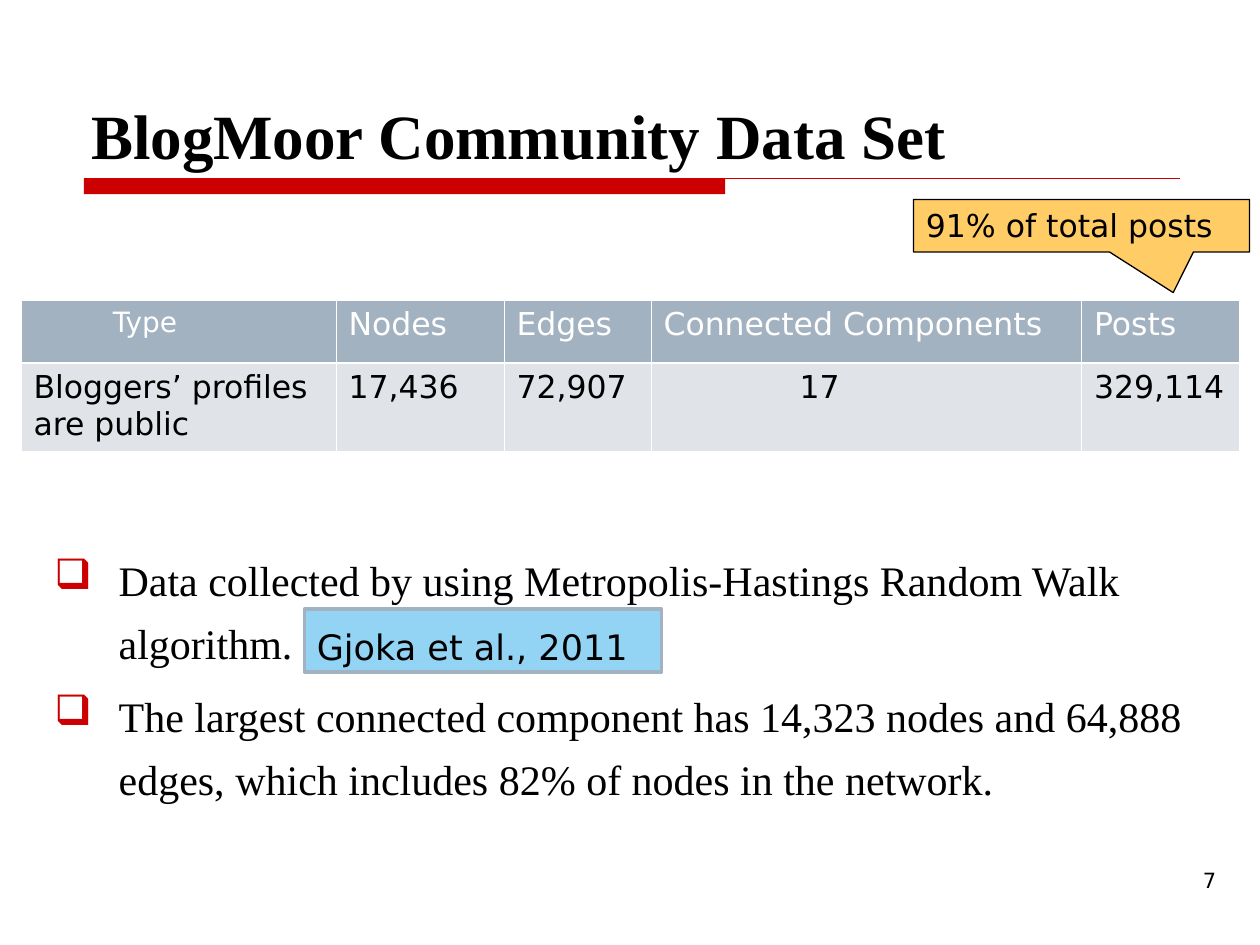
from lxml.etree import SubElement
from pptx import Presentation
from pptx.dml.color import RGBColor
from pptx.enum.shapes import MSO_CONNECTOR, MSO_SHAPE
from pptx.enum.text import MSO_ANCHOR, PP_ALIGN
from pptx.oxml.ns import qn
from pptx.util import Inches, Pt

COLORS = {"black": "000000", "white": "FFFFFF", "red": "CC0000", "amber": "FFCC66",
          "slate": "A3B2C1", "mist": "E0E4E9", "sky": "93D3F3"}
SANS, SERIF = "DejaVu Sans", "Times New Roman"
UNIT = Inches(10) / 120


def grid(*counts):
    return [round(count * UNIT) for count in counts]


def color(name):
    return RGBColor.from_string(COLORS[name])


def fill_solid(part, name):
    part.fill.solid()
    part.fill.fore_color.rgb = color(name)


def add_bullet(para, char, name, indent):
    props = para._p.get_or_add_pPr()
    props.set("marL", str(Inches(indent)))
    props.set("indent", str(-Inches(indent)))
    bullet_color = SubElement(props, qn("a:buClr"))
    SubElement(bullet_color, qn("a:srgbClr"), val=COLORS[name])
    SubElement(props, qn("a:buChar"), char=char)


def write(frame, text, size=18, font=SANS, ink="black", bold=False, align=PP_ALIGN.LEFT,
          anchor=MSO_ANCHOR.TOP, line_spacing=None, gap=0, bullet=None):
    frame.word_wrap = True
    frame.vertical_anchor = anchor
    for index, line in enumerate(text.split("\n")):
        para = frame.add_paragraph() if index else frame.paragraphs[0]
        if bullet:
            add_bullet(para, bullet, "red", 0.51)
        para.alignment = align
        if line_spacing:
            para.line_spacing = line_spacing
        if index and gap:
            para.space_before = Pt(gap)
        span = para.add_run()
        span.text = line
        span.font.size = Pt(size)
        span.font.name = font
        span.font.bold = bold
        span.font.color.rgb = color(ink)


def add_text(page, box, text, **style):
    write(page.shapes.add_textbox(*grid(*box)).text_frame, text, **style)


def add_panel(page, box, kind, fill, line=None, width=0.75):
    panel = page.shapes.add_shape(kind, *grid(*box))
    panel.shadow.inherit = False
    fill_solid(panel, fill)
    if line:
        panel.line.color.rgb = color(line)
        panel.line.width = Pt(width)
    else:
        panel.line.fill.background()
    return panel


def add_title_rule(page, box):
    left, top, width, height = box
    add_panel(page, (left, top, width * 0.585, height), MSO_SHAPE.RECTANGLE, "red")
    rule = page.shapes.add_connector(MSO_CONNECTOR.STRAIGHT, *grid(left, top, left + width, top))
    rule.line.color.rgb = color("red")
    rule.line.width = Pt(0.75)
    SubElement(rule._element.spPr, qn("a:effectLst"))


def add_callout(page, box, text):
    callout = add_panel(page, box, MSO_SHAPE.RECTANGULAR_CALLOUT, "amber", "black")
    callout.adjustments[0], callout.adjustments[1] = 0.273, 1.275
    write(callout.text_frame, text)


def add_citation(page, box, text):
    citation = add_panel(page, box, MSO_SHAPE.RECTANGLE, "sky", "slate", 2)
    write(citation.text_frame, text, size=20, line_spacing=1.25)


def set_borders(cell, widths):
    props = cell._tc.get_or_add_tcPr()
    for side, width in widths.items():
        border = SubElement(props, qn(f"a:ln{side}"), w=str(Pt(width)))
        paint = SubElement(border, qn("a:solidFill"))
        SubElement(paint, qn("a:srgbClr"), val=COLORS["white"])


def add_data_table(page, box, columns, heights, rows, insets):
    table = page.shapes.add_table(len(rows), len(columns), *grid(*box)).table
    for column, width in zip(table.columns, grid(*columns)):
        column.width = width
    for row, height in zip(table.rows, grid(*heights)):
        row.height = height
    for r, values in enumerate(rows):
        for c, value in enumerate(values):
            cell = table.cell(r, c)
            header = r == 0
            set_borders(cell, {"L": 0.45, "R": 0.45, "T": 0.45 if header else 1.47,
                               "B": 1.47 if header else 0.45})
            fill_solid(cell, "slate" if header else "mist")
            cell.margin_left = Inches(insets.get(value, 0.1))
            write(cell.text_frame, value, size=16 if value == "Type" else 18,
                  ink="white" if header else "black")


def build_slide(deck):
    page = deck.slides.add_slide(deck.slide_layouts[6])
    add_title_rule(page, (8, 17, 104.4, 1.5))
    add_text(page, (91, 82, 26, 6.2), "7", size=12, align=PP_ALIGN.RIGHT)
    add_text(page, (7.5, 1, 110.5, 16), "BlogMoor Community Data Set", size=36, font=SERIF,
             bold=True, anchor=MSO_ANCHOR.BOTTOM)
    add_callout(page, (87, 19, 32, 5), "91% of total posts")
    add_data_table(page, (2, 28.6, 116, 14.4), (30, 16, 14, 41, 15), (6, 8.4),
                   [["Type", "Nodes", "Edges", "Connected Components", "Posts"],
                    ["Bloggers’ profiles are public", "17,436", "72,907", "17", "329,114"]],
                   {"Type": 0.73, "17": 1.18})
    add_text(page, (4, 51, 110.5, 31),
             "Data collected by using Metropolis-Hastings Random Walk algorithm.\n"
             "The largest connected component has 14,323 nodes and 64,888 edges, "
             "which includes 82% of nodes in the network.",
             size=24, font=SERIF, line_spacing=1.25, gap=6, bullet="❑")
    add_citation(page, (29, 58, 34, 6), "Gjoka et al., 2011")


def main():
    deck = Presentation()
    deck.slide_width, deck.slide_height = grid(120, 90)
    build_slide(deck)
    deck.save("out.pptx")


if __name__ == "__main__":
    main()
